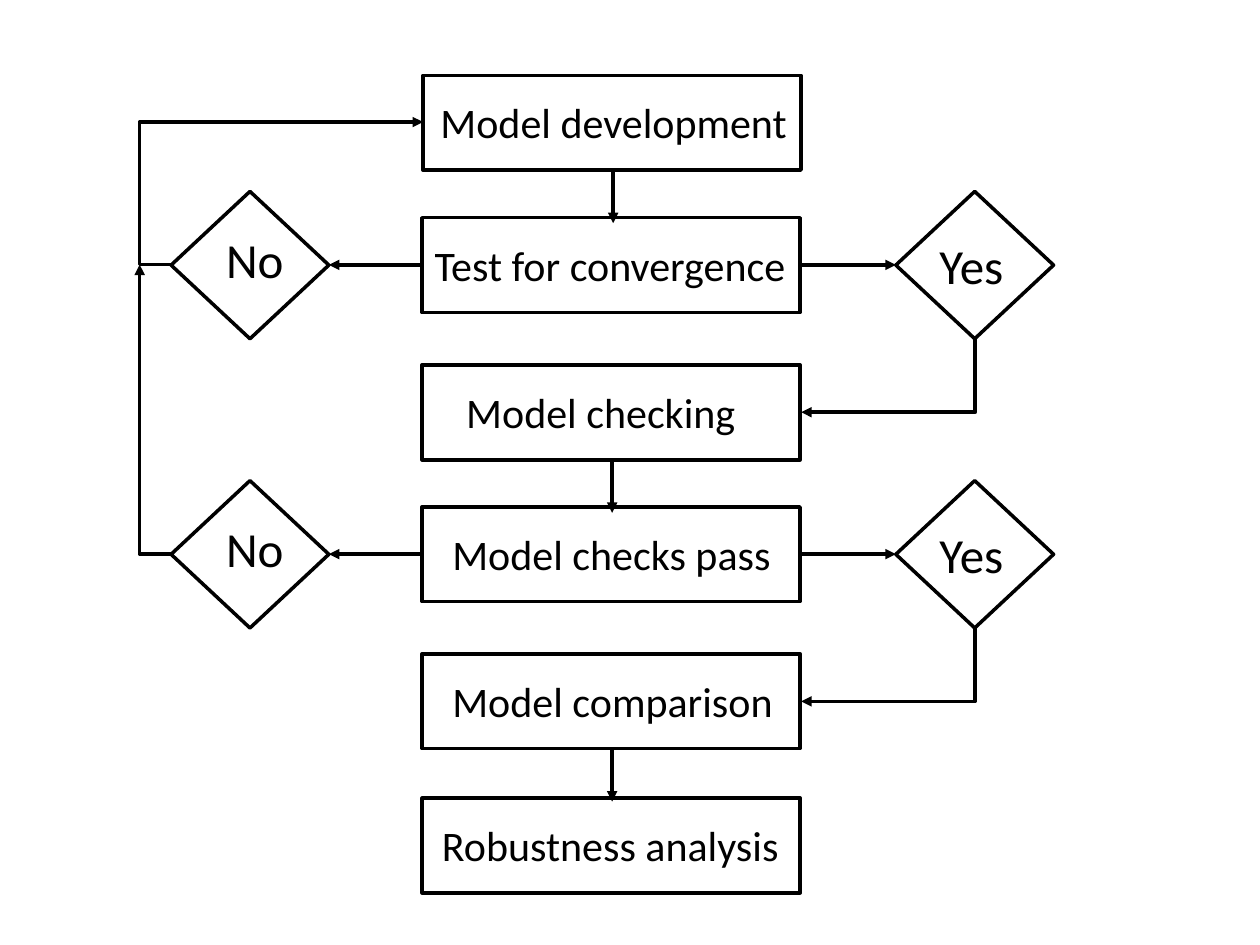
from dataclasses import dataclass

from lxml import etree
from pptx import Presentation
from pptx.dml.color import RGBColor
from pptx.enum import shapes, text
from pptx.oxml import ns
from pptx.util import Cm, Pt


@dataclass(frozen=True)
class Theme:
    ink: RGBColor = RGBColor(0, 0, 0)
    font: str = "Calibri"
    step_size: int = 24
    answer_size: int = 28
    line: int = 2


THEME = Theme()
STEP_LEFT, STEP_W, STEP_H = 8.51, 7.62, 1.91
DIAMOND_W, DIAMOND_H = 3.18, 2.97
NO_LEFT, YES_LEFT = 3.45, 18.06


# Basic parts
def add_outline(slide, kind, x, y, w, h):
    sp = slide.shapes.add_shape(kind, Cm(x), Cm(y), Cm(w), Cm(h))
    sp.shadow.inherit = False
    sp.fill.background()
    sp.line.color.rgb = THEME.ink
    sp.line.width = Pt(THEME.line)


def add_label(slide, wording, size, x, y, w, h):
    tf = slide.shapes.add_textbox(Cm(x), Cm(y), Cm(w), Cm(h)).text_frame
    tf.word_wrap = True
    tf.auto_size = text.MSO_AUTO_SIZE.SHAPE_TO_FIT_TEXT
    tf.text = wording
    font = tf.paragraphs[0].runs[0].font
    font.name, font.size, font.color.rgb = THEME.font, Pt(size), THEME.ink


def add_arrow(slide, x1, y1, x2, y2, kind=shapes.MSO_CONNECTOR.STRAIGHT):
    cxn = slide.shapes.add_connector(kind, Cm(x1), Cm(y1), Cm(x2), Cm(y2))
    cxn.line.color.rgb = THEME.ink
    cxn.line.width = Pt(THEME.line)
    etree.SubElement(cxn.line._get_or_add_ln(), ns.qn("a:tailEnd"), type="triangle")
    etree.SubElement(cxn._element.spPr, ns.qn("a:effectLst"))
    return cxn


def add_elbow(slide, x, y, w, h, preset, rotation, flip=None, bend=None):
    """Place an elbow arrow by its unrotated box; bend is in 1/100000."""
    cxn = add_arrow(slide, x, y, x + w, y + h, shapes.MSO_CONNECTOR.ELBOW)
    sp_pr = cxn._element.spPr
    xfrm = sp_pr.find(ns.qn("a:xfrm"))
    xfrm.set("rot", str(rotation * 60000))
    if flip:
        xfrm.set(flip, "1")
    geom = sp_pr.find(ns.qn("a:prstGeom"))
    geom.set("prst", preset)
    if bend is not None:
        guides = geom.find(ns.qn("a:avLst"))
        etree.SubElement(guides, ns.qn("a:gd"), name="adj1", fmla=f"val {bend}")


# Regions of the flowchart
def add_step(slide, wording, x, y, indent, leads_down):
    add_outline(slide, shapes.MSO_SHAPE.RECTANGLE, x, y, STEP_W, STEP_H)
    add_label(slide, wording, THEME.step_size, x + indent, y + 0.31, 8.15, 1.27)
    if leads_down:
        middle, bottom = x + 3.83, y + STEP_H
        add_arrow(slide, middle, bottom, middle, bottom + 1.07)


def add_answer(slide, wording, x, y, dx, dy):
    add_outline(slide, shapes.MSO_SHAPE.DIAMOND, x, y, DIAMOND_W, DIAMOND_H)
    add_label(slide, wording, THEME.answer_size, x + dx, y + dy, 1.91, 1.45)


def add_decision(slide, y):
    """Yes and No branches beside the step whose top is y."""
    top, middle = y - 0.53, y + 0.95
    add_answer(slide, "No", NO_LEFT, top, 0.86, 0.64)
    add_answer(slide, "Yes", YES_LEFT, top, 0.63, 0.76)
    add_arrow(slide, STEP_LEFT, middle, NO_LEFT + DIAMOND_W, middle)
    add_arrow(slide, STEP_LEFT + STEP_W, middle, YES_LEFT, middle)
    # Yes leads on to the next step
    add_elbow(slide, 17.17, y + 1.43, 1.47, 3.51, "bentConnector2", 90)


def add_return_loops(slide):
    add_elbow(slide, NO_LEFT, 2.46, 5.08, 2.87, "bentConnector3", 180, "flipH", -12500)
    add_elbow(slide, 0.2, 7.95, 5.84, 0.61, "bentConnector3", 270, "flipV", 100)


# Wording, left, top, label indent, arrow to the next step
STEPS = [
    ("Model development", 8.53, 1.52, 0.1, True),
    ("Test for convergence", STEP_LEFT, 4.39, 0, False),
    ("Model checking", STEP_LEFT, 7.36, 0.64, True),
    ("Model checks pass", STEP_LEFT, 10.22, 0.36, False),
    ("Model comparison", STEP_LEFT, 13.18, 0.36, True),
    ("Robustness analysis", STEP_LEFT, 16.09, 0.15, False),
]

prs = Presentation()
prs.slide_width, prs.slide_height = Cm(25.4), Cm(19.05)
s = prs.slides.add_slide(prs.slide_layouts[6])
for step in STEPS:
    add_step(s, *step)
for decision_top in (4.39, 10.22):
    add_decision(s, decision_top)
add_return_loops(s)
prs.save("out.pptx")
